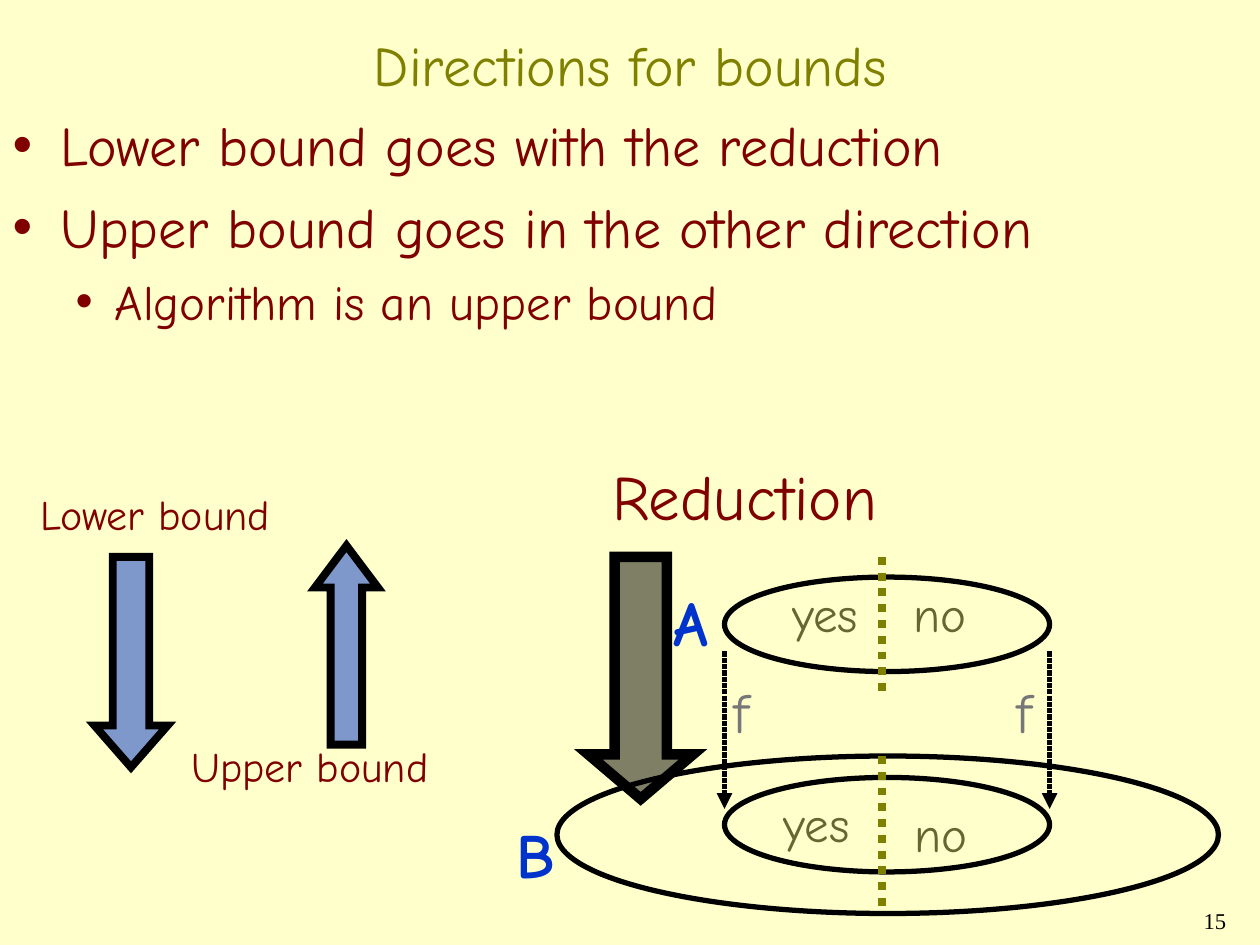
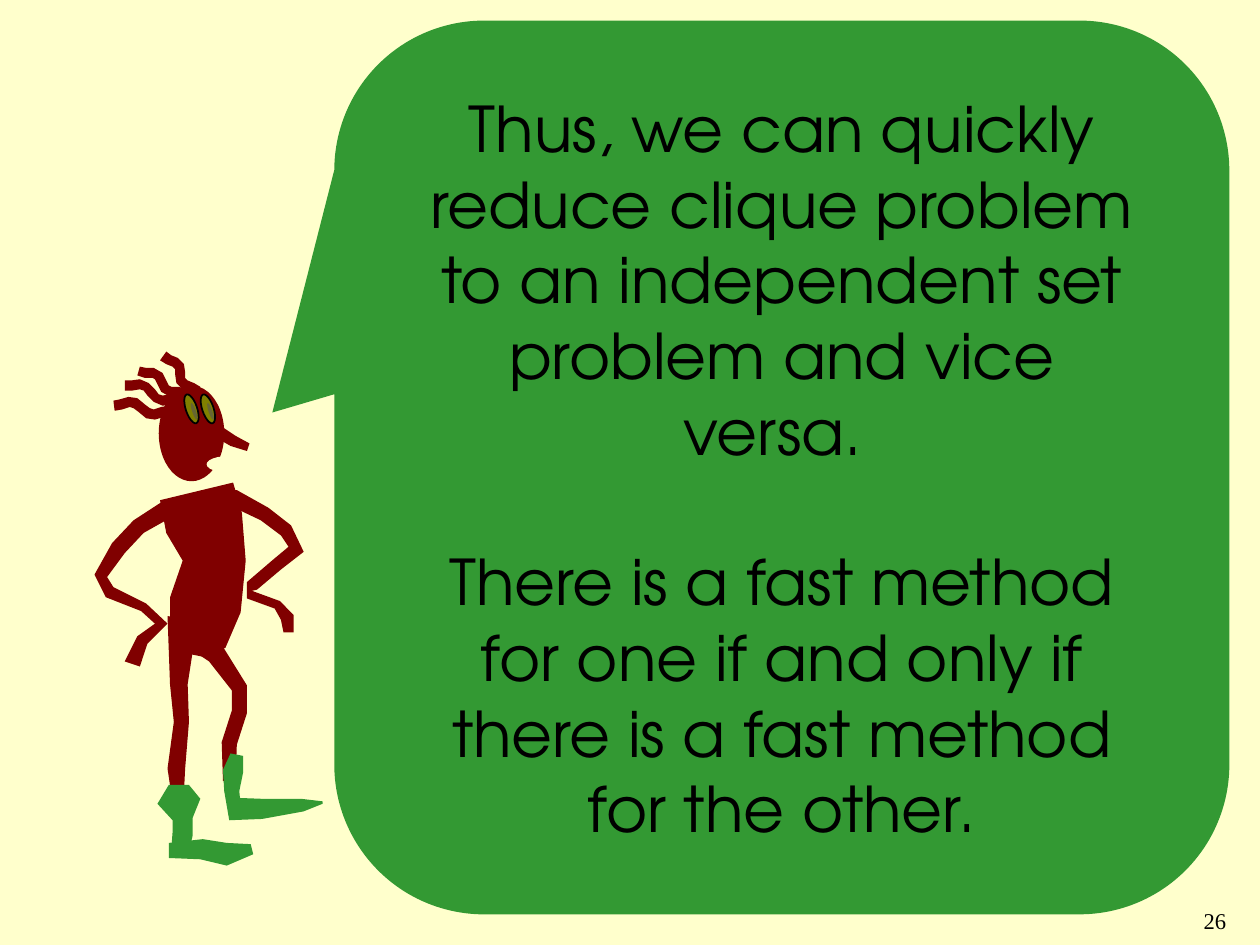
from math import cos, hypot, pi
from lxml.etree import SubElement as Sub
from pptx import Presentation
from pptx.dml.color import RGBColor as RGB
from pptx.enum.dml import MSO_LINE as Dash
from pptx.enum.shapes import MSO_CONNECTOR as Conn, MSO_SHAPE as Kind
from pptx.enum.text import MSO_ANCHOR as Anchor, MSO_AUTO_SIZE as Fit, PP_ALIGN as Align
from pptx.oxml.ns import qn
from pptx.util import Inches, Pt

# Shared style
CREAM = RGB(0xFF, 0xFF, 0xCC)
OLIVE = RGB(0x80, 0x80, 0x00)
MAROON = RGB(0x80, 0x00, 0x00)
MOSS = RGB(0x66, 0x66, 0x33)
BLUE = RGB(0x00, 0x33, 0xCC)
GREEN = RGB(0x33, 0x99, 0x33)
GRAY = RGB(0x77, 0x77, 0x77)
BLACK = RGB(0x00, 0x00, 0x00)
HAND, SANS, SERIF = "Comic Neue", "TeX Gyre Adventor", "Times New Roman"

# Each part of the figure is a chain of joints: x, y and half the thickness
SKIN = {
    "trunk": [(1.56, 3.9, 0.3), (1.62, 4.15, 0.31), (1.7, 4.45, 0.25),
              (1.63, 4.8, 0.29), (1.57, 5.1, 0.22), (1.55, 5.2, 0.1)],
    "left arm": [(1.33, 4.04, 0.07), (1.1, 4.18, 0.07), (0.94, 4.35, 0.06),
                 (0.8, 4.57, 0.05), (0.87, 4.7, 0.05), (1.14, 4.82, 0.04),
                 (1.28, 4.95, 0.05), (1.13, 5.08, 0.05), (1.05, 5.27, 0.06)],
    "right arm": [(1.6, 3.98, 0.08), (1.87, 3.96, 0.07), (2.1, 4.08, 0.06),
                  (2.27, 4.21, 0.06), (2.35, 4.36, 0.06), (2.2, 4.48, 0.05),
                  (2, 4.65, 0.05), (1.98, 4.72, 0.04), (2.2, 4.8, 0.04),
                  (2.28, 4.9, 0.05), (2.29, 5.02, 0.04)],
    "left leg": [(1.45, 4.9, 0.12), (1.42, 5.43, 0.07), (1.44, 5.73, 0.06),
                 (1.4, 6.1, 0.07), (1.41, 6.3, 0.05)],
    "right leg": [(1.5, 5, 0.12), (1.72, 5.2, 0.08), (1.9, 5.46, 0.06),
                  (1.9, 5.65, 0.06), (1.82, 5.9, 0.06), (1.82, 6.2, 0.05)],
    "nose": [(1.72, 3.42, 0.05), (1.85, 3.5, 0.04), (1.97, 3.55, 0.03)],
}
SHOES = {
    "left ankle": [(1.42, 6.23, 0.08), (1.42, 6.36, 0.17), (1.45, 6.5, 0.08),
                   (1.45, 6.62, 0.08), (1.43, 6.75, 0.07)],
    "left foot": [(1.34, 6.75, 0.06), (1.6, 6.74, 0.08), (1.8, 6.78, 0.09),
                  (2, 6.74, 0.04)],
    "right ankle": [(1.88, 5.99, 0.05), (1.85, 6.12, 0.08), (1.84, 6.28, 0.06),
                    (1.87, 6.5, 0.05)],
    "right foot": [(1.82, 6.42, 0.09), (2.08, 6.42, 0.08), (2.4, 6.39, 0.05),
                   (2.56, 6.37, 0.01)],
}
# Root and tip of each lock of hair
HAIR = [((1.34, 3.29), (0.91, 3.19)), ((1.4, 3.2), (1, 3.03)),
        ((1.45, 3.15), (1.12, 2.92)), ((1.54, 3.12), (1.32, 2.81))]


def normal(start, end):
    """Unit vector at a right angle to the way from start to end."""
    dx, dy = end[0] - start[0], end[1] - start[1]
    size = hypot(dx, dy)
    return -dy / size, dx / size


def thicken(joints):
    """Outline of a chain: down one side of the joints, back up the other."""
    near, far = [], []
    for i, (x, y, half) in enumerate(joints):
        nx, ny = normal(joints[max(i - 1, 0)], joints[min(i + 1, len(joints) - 1)])
        near.append((x + nx * half, y + ny * half))
        far.append((x - nx * half, y - ny * half))
    return near + far[::-1]


def curl(root, tip, waves=1.5, steps=8, swing=0.03, half=0.04):
    """Joints of a wavy lock that swings about the line from root to tip."""
    nx, ny = normal(root, tip)
    joints = []
    for i in range(steps + 1):
        part = i / steps
        off = swing * cos(2 * pi * waves * part)
        joints.append((root[0] + (tip[0] - root[0]) * part + nx * off,
                       root[1] + (tip[1] - root[1]) * part + ny * off, half))
    return joints


def write(para, text, size=28, color=BLACK, font=HAND, bold=False,
          align=Align.LEFT, gap=0, lead=None):
    run = para.add_run()
    run.text = text
    run.font.size, run.font.name, run.font.bold = Pt(size), font, bold
    run.font.color.rgb = color
    para.alignment, para.space_before = align, Pt(gap)
    if lead:
        para.line_spacing = lead


def box(*at):
    return [Inches(n) for n in at]


class Deck:
    def __init__(self):
        self.prs = Presentation()
        self.prs.slide_width, self.prs.slide_height = box(10, 7.5)
        fill = self.prs.slide_master.background.fill
        fill.solid()
        fill.fore_color.rgb = CREAM

    def start(self, layout, number):
        self.slide = self.prs.slides.add_slide(self.prs.slide_layouts[layout])
        self.shapes = self.slide.shapes
        frame = self.shapes.add_textbox(*box(7.75, 7.17, 2.08, 0.33)).text_frame
        frame.word_wrap = True
        write(frame.paragraphs[0], str(number), size=12.9, font=SERIF,
              align=Align.RIGHT, lead=0.9)

    def place(self, holder, *at):
        holder.left, holder.top, holder.width, holder.height = box(*at)
        holder.text_frame.auto_size = Fit.NONE
        return holder.text_frame

    def title(self, text):
        frame = self.place(self.shapes.title, 0.17, 0.17, 9.67, 0.67)
        frame.vertical_anchor = Anchor.MIDDLE
        write(frame.paragraphs[0], text, size=32, color=OLIVE, align=Align.CENTER)

    def bullets(self, items):
        frame = self.place(self.slide.placeholders[1], 0, 0.83, 9.67, 2.25)
        for i, (level, text) in enumerate(items):
            para = frame.paragraphs[0] if i == 0 else frame.add_paragraph()
            para.level = level
            size, left, hang = ((32, 0.38, 0.38), (28, 0.81, 0.31))[level]
            write(para, text, size=size, color=MAROON, gap=size / 4)
            prop = para._p.get_or_add_pPr()
            prop.set("marL", str(Inches(left)))
            prop.set("indent", str(-Inches(hang)))
            Sub(Sub(prop, qn("a:buClr")), qn("a:srgbClr"), val=str(MAROON))
            Sub(prop, qn("a:buChar"), char="•")

    def label(self, text, *at, size=28, wrap=False, **style):
        frame = self.shapes.add_textbox(*box(*at)).text_frame
        frame.word_wrap = wrap
        frame.auto_size = Fit.SHAPE_TO_FIT_TEXT
        write(frame.paragraphs[0], text, size=size, gap=size / 4, **style)

    def paint(self, shape, fill=None, line=None, width=1, alpha=None):
        shape.shadow.inherit = False
        if fill is None:
            shape.fill.background()
        else:
            shape.fill.solid()
            shape.fill.fore_color.rgb = fill
        if alpha:
            color = shape.element.spPr.find(qn("a:solidFill"))[0]
            Sub(color, qn("a:alpha"), val=str(alpha * 1000))
        if line is None:
            shape.line.fill.background()
        else:
            shape.line.color.rgb = line
            shape.line.width = Pt(width)
            Sub(shape.element.spPr.find(qn("a:ln")), qn("a:miter"), lim="800000")

    def shape(self, kind, *at, adj=(), turn=0, **style):
        shape = self.shapes.add_shape(kind, *box(*at))
        for i, value in enumerate(adj):
            shape.adjustments[i] = value
        shape.rotation = turn
        self.paint(shape, **style)
        return shape

    def limb(self, joints, fill):
        first, *rest = [(round(x * 100), round(y * 100)) for x, y in thicken(joints)]
        form = self.shapes.build_freeform(*first, scale=Inches(0.01))
        form.add_line_segments(rest, close=True)
        self.paint(form.convert_to_shape(), fill=fill)

    def line(self, x, top, end, color, width, arrow=False):
        line = self.shapes.add_connector(Conn.STRAIGHT, *box(x, top, x, end))
        line.line.color.rgb, line.line.width = color, Pt(width)
        prop = line.element.spPr
        if arrow:
            stroke = prop.find(qn("a:ln"))
            Sub(Sub(stroke, qn("a:custDash")), qn("a:ds"), d="100000", sp="20000")
            Sub(stroke, qn("a:tailEnd"), type="triangle")
        else:
            line.line.dash_style = Dash.ROUND_DOT
        Sub(prop, qn("a:effectLst"))


def bounds(deck):
    deck.start(1, 15)
    deck.title("Directions for bounds")
    deck.bullets([(0, "Lower bound goes with the reduction"),
                  (0, "Upper bound goes in the other direction"),
                  (1, "Algorithm is an upper bound")])

    # Sets, split into yes and no
    for at in ((5.75, 4.58, 2.58, 0.75), (4.42, 6, 5.25, 1.25),
               (5.75, 6.17, 2.58, 0.75)):
        deck.shape(Kind.OVAL, *at, line=BLACK, width=3)
    for top, end in ((4.42, 5.5), (6, 7.25)):
        deck.line(7, top, end, OLIVE, 4.5)
    for text, x, y, wide in (("yes", 6.19, 4.58, 0.73), ("yes", 6.12, 6.25, 0.73),
                             ("no", 7.15, 4.58, 0.62), ("no", 7.16, 6.33, 0.62)):
        deck.label(text, x, y, wide, 0.57, color=MOSS)
    for text, x, y in (("A", 5.25, 4.58), ("B", 4, 6.42)):
        deck.label(text, x, y, 0.47, 0.7, size=36, wrap=True, color=BLUE, bold=True)

    # Mapping f
    for x, left in ((5.75, 5.72), (8.33, 7.97)):
        deck.line(x, 5.17, 6.42, BLACK, 3, arrow=True)
        deck.label("f", left, 5.33, 0.32, 0.64, size=32, color=GRAY)

    # Block arrows
    for kind, at, head, fill, width in (
            (Kind.DOWN_ARROW, (4.67, 4.42, 0.83, 1.92), 0.425, BLACK, 6),
            (Kind.UP_ARROW, (2.5, 4.33, 0.5, 1.58), 0.666, BLUE, 4.5),
            (Kind.DOWN_ARROW, (0.75, 4.42, 0.58, 1.67), 0.571, BLUE, 4.5)):
        deck.shape(kind, *at, adj=(0.5, head), fill=fill, alpha=50,
                   line=BLACK, width=width)
    deck.label("Reduction", 4.76, 3.58, 2.31, 0.7, size=36, color=MAROON)
    deck.label("Upper bound", 1.42, 5.83, 2.56, 0.5, size=24, wrap=True, color=MAROON)
    deck.label("Lower bound", 0.22, 3.83, 2.04, 0.5, size=24, color=MAROON)


def figure(deck):
    # Body and hair
    for joints in SKIN.values():
        deck.limb(joints, MAROON)
    for root, tip in HAIR:
        deck.limb(curl(root, tip), MAROON)

    # Head with eyes and mouth
    deck.shape(Kind.OVAL, 1.26, 3.06, 0.52, 0.76, fill=MAROON)
    for x in (1.53, 1.4):
        deck.shape(Kind.OVAL, x, 3.2, 0.24, 0.09, turn=71.5, fill=OLIVE, line=BLACK)
        deck.shape(Kind.OVAL, x + 0.07, 3.25, 0.14, 0.03, turn=71.5, fill=MOSS)
    deck.shape(Kind.OVAL, 1.64, 3.62, 0.34, 0.13, fill=CREAM)

    # Shoes
    for joints in SHOES.values():
        deck.limb(joints, GREEN)


def speech(deck):
    deck.start(6, 26)
    figure(deck)

    # Speech bubble
    bubble = deck.shape(Kind.ROUNDED_RECTANGULAR_CALLOUT, 2.66, 0.17, 7.09, 7.08,
                        adj=(-0.569, -0.063, 0.167), fill=GREEN, line=GREEN)
    frame = bubble.text_frame
    frame.word_wrap, frame.vertical_anchor = True, Anchor.MIDDLE
    frame.margin_left = frame.margin_right = Inches(0.3)
    style = dict(size=36, font=SANS, align=Align.CENTER)
    write(frame.paragraphs[0], "Thus, we can quickly reduce clique problem to an "
          "independent set problem and vice versa. ", **style)
    write(frame.add_paragraph(), "There is a fast method for one if and only if "
          "there is a fast method for the other.", gap=43, **style)


def main():
    deck = Deck()
    bounds(deck)
    speech(deck)
    deck.prs.save("out.pptx")


if __name__ == "__main__":
    main()
